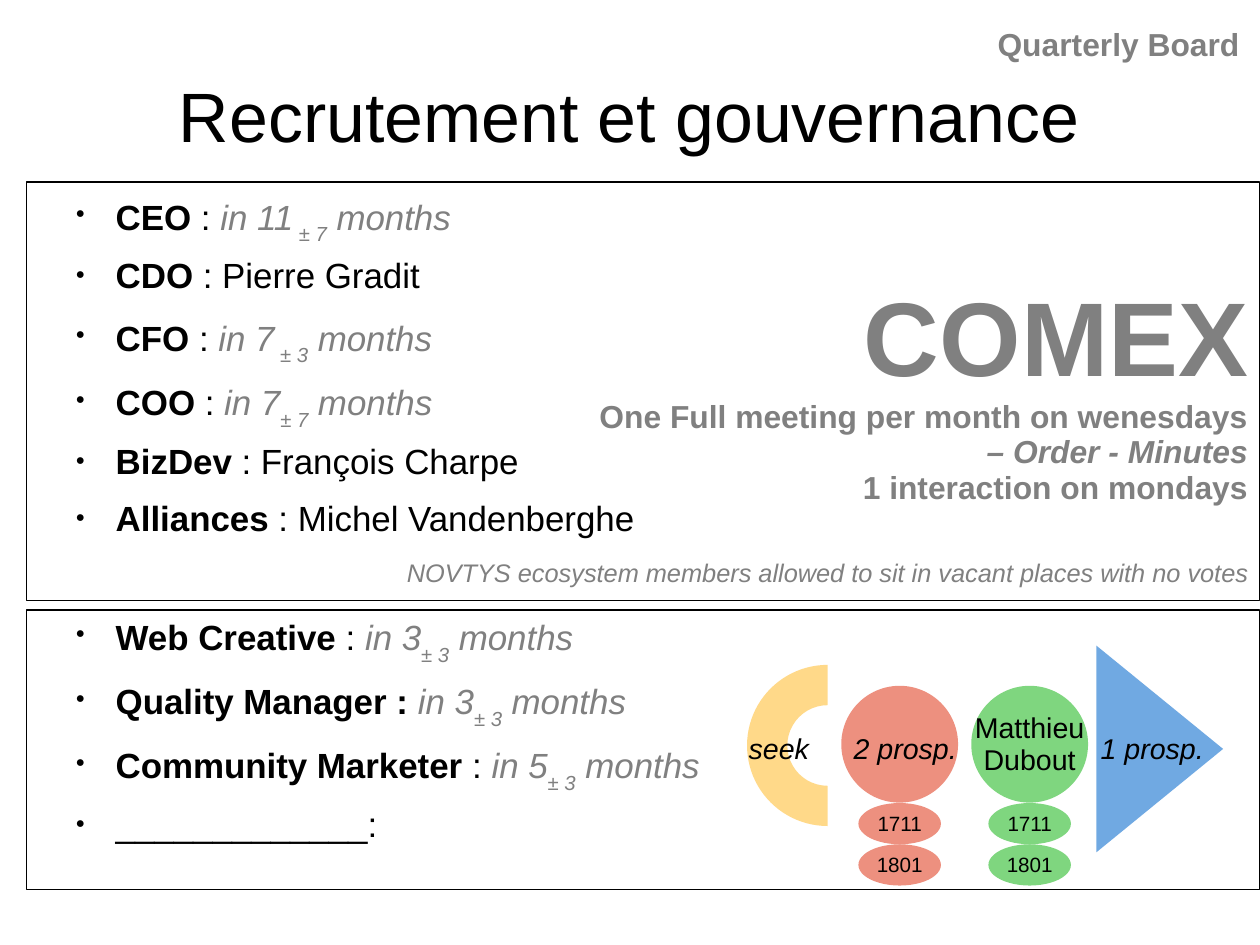
"""Build the recruitment and governance slide of the quarterly board."""
from lxml.etree import SubElement
from pptx import Presentation
from pptx.dml.color import RGBColor
from pptx.enum.shapes import MSO_SHAPE
from pptx.enum.text import MSO_ANCHOR, MSO_AUTO_SIZE, PP_ALIGN
from pptx.oxml.ns import qn
from pptx.util import Pt

COLORS = {"black": "000000", "grey": "808080", "seek": "FFB515",
          "prospect": "DC2300", "hired": "00AE00", "next": "0066CC"}


def write(shape, text, size, color="black", align=PP_ALIGN.CENTER, bold=False,
          italic=False, top=5, side=7.2, bottom=3.6, wrap=True, anchor=MSO_ANCHOR.TOP):
    frame = shape.text_frame
    frame.text = text
    frame.word_wrap = wrap
    frame.auto_size = MSO_AUTO_SIZE.NONE
    frame.vertical_anchor = anchor
    frame.margin_left = frame.margin_right = Pt(side)
    frame.margin_top, frame.margin_bottom = Pt(top), Pt(bottom)
    for paragraph in frame.paragraphs:
        paragraph.alignment = align
        paragraph.line_spacing = 0.93
        for run in paragraph.runs:
            run.font.name = "Arial"
            run.font.size = Pt(size)
            run.font.bold, run.font.italic = bold, italic
            run.font.color.rgb = RGBColor.from_string(COLORS[color])
    return frame


def draw(kind, left, top, width, height, color=None, opacity=50, rotation=0):
    shape = slide.shapes.add_shape(kind, Pt(left), Pt(top), Pt(width), Pt(height))
    shape.shadow.inherit = False
    shape.rotation = rotation
    if color:
        shape.fill.solid()
        shape.fill.fore_color.rgb = RGBColor.from_string(COLORS[color])
        tint = shape.fill._xPr.find(qn("a:solidFill"))[0]
        SubElement(tint, qn("a:alpha")).set("val", str(opacity * 1000))
        shape.line.fill.background()
    else:
        shape.fill.background()
        shape.line.color.rgb = RGBColor.from_string(COLORS["black"])
        shape.line.width = Pt(0.75)
    return shape


deck = Presentation()
deck.slide_width, deck.slide_height = Pt(793.75), Pt(595.25)
slide = deck.slides.add_slide(deck.slide_layouts[1])

title = slide.shapes.title
title.left, title.top, title.width, title.height = Pt(39.6), Pt(23.8), Pt(714.2), Pt(99.4)
write(title, "Recrutement et gouvernance", 44, top=2.9, side=0, bottom=0,
      anchor=MSO_ANCHOR.MIDDLE)

roles = slide.placeholders[1]
roles.left, roles.top, roles.width, roles.height = Pt(39.6), Pt(122.4), Pt(414), Pt(410.4)
roles_frame = write(roles, "", 22, align=PP_ALIGN.LEFT, top=1.4, side=0, bottom=0)

ROLES = [
    ("CEO ", ":", " in 11", " ± 7"),
    ("CDO ", ": Pierre Gradit", "", ""),
    ("CFO ", ": ", "in 7", " ± 3"),
    ("COO ", ": ", "in 7", "± 7"),
    ("BizDev ", ": François Charpe", "", ""),
    ("Alliances ", ": Michel Vandenberghe", "", ""),
    ("Web Creative", " : ", "in 3", "± 3"),
    ("Quality Manager : ", "", "in 3", "± 3"),
    ("Community Marketer", " : ", "in 5", "± 3"),
    ("", "_____________:", "", ""),
]
FIRST_BELOW_COMEX = 6
for index, (role, holder, delay, margin) in enumerate(ROLES):
    entry = roles_frame.paragraphs[0] if index == 0 else roles_frame.add_paragraph()
    properties = entry._p.get_or_add_pPr()
    properties.set("marL", str(Pt(33.3)))
    properties.set("indent", str(Pt(-25.2)))
    bullet_color = SubElement(properties, qn("a:buClr"))
    SubElement(bullet_color, qn("a:srgbClr")).set("val", COLORS["black"])
    SubElement(properties, qn("a:buSzPct")).set("val", "45000")
    SubElement(properties, qn("a:buChar")).set("char", "●")
    entry.alignment = PP_ALIGN.LEFT
    entry.line_spacing = 0.83
    if index:
        entry.space_before = Pt(49.6 if index == FIRST_BELOW_COMEX else 14.1)
    months = " months" if margin else ""
    for part, text in enumerate((role, holder, delay, margin, months)):
        if not text:
            continue
        run = entry.add_run()
        run.text = text
        run.font.name = "Arial"
        run.font.size = Pt(22)
        run.font.bold = part == 0
        run.font.italic = part >= 2
        run.font.color.rgb = RGBColor.from_string(COLORS["grey" if part >= 2 else "black"])
        if part == 3:
            run._r.get_or_add_rPr().set("baseline", "-33000")

seek_arc = draw(MSO_SHAPE.BLOCK_ARC, 470.6, 418.8, 101.5, 101.5, "seek", rotation=270)
seek_arc.adjustments[0] = 108
seek_arc.adjustments[1] = 0
seek_arc.adjustments[2] = 0.25

for center, color, name in ((566.8, "prospect", ""), (648.7, "hired", "Matthieu\nDubout")):
    person = draw(MSO_SHAPE.OVAL, center - 36.8, 432, 73.6, 73.6, color)
    if name:
        write(person, name, 18, wrap=False, anchor=MSO_ANCHOR.MIDDLE)
    for row, period in enumerate(("1711", "1801")):
        badge = draw(MSO_SHAPE.OVAL, center - 26, 505.8 + 26 * row, 52, 26, color)
        write(badge, period, 13, top=4.3, wrap=False, anchor=MSO_ANCHOR.MIDDLE)

draw(MSO_SHAPE.ISOSCELES_TRIANGLE, 665.4, 431.8, 130.3, 79.9, "next", 56, 90)

draw(MSO_SHAPE.RECTANGLE, 16.6, 384.2, 776.8, 176.2)
comex = draw(MSO_SHAPE.RECTANGLE, 16.6, 114.7, 776.8, 263.6)
comex_frame = write(comex, "COMEX\nOne Full meeting per month on wenesdays\n"
                    "– Order - Minutes\n1 interaction on mondays", 20, "grey",
                    PP_ALIGN.RIGHT, bold=True, top=7.9, anchor=MSO_ANCHOR.MIDDLE)
comex_frame.paragraphs[0].runs[0].font.size = Pt(66)
comex_frame.paragraphs[2].runs[0].font.italic = True

for left, status in ((672.2, "1 prosp."), (516.6, "2 prosp."), (437, "seek")):
    label = slide.shapes.add_textbox(Pt(left), Pt(457.6), Pt(107.3), Pt(27.4))
    write(label, status, 18, italic=True)

vacancy_note = slide.shapes.add_textbox(Pt(256.3), Pt(351), Pt(537), Pt(26))
write(vacancy_note, "NOVTYS ecosystem members allowed to sit in vacant places with no votes",
      16, "grey", PP_ALIGN.LEFT, italic=True, top=1.4, side=0, bottom=0)

meeting = slide.shapes.add_textbox(Pt(605.2), Pt(12.8), Pt(182.9), Pt(37.6))
write(meeting, "Quarterly Board", 20, "grey", PP_ALIGN.RIGHT, bold=True)

deck.save("out.pptx")
